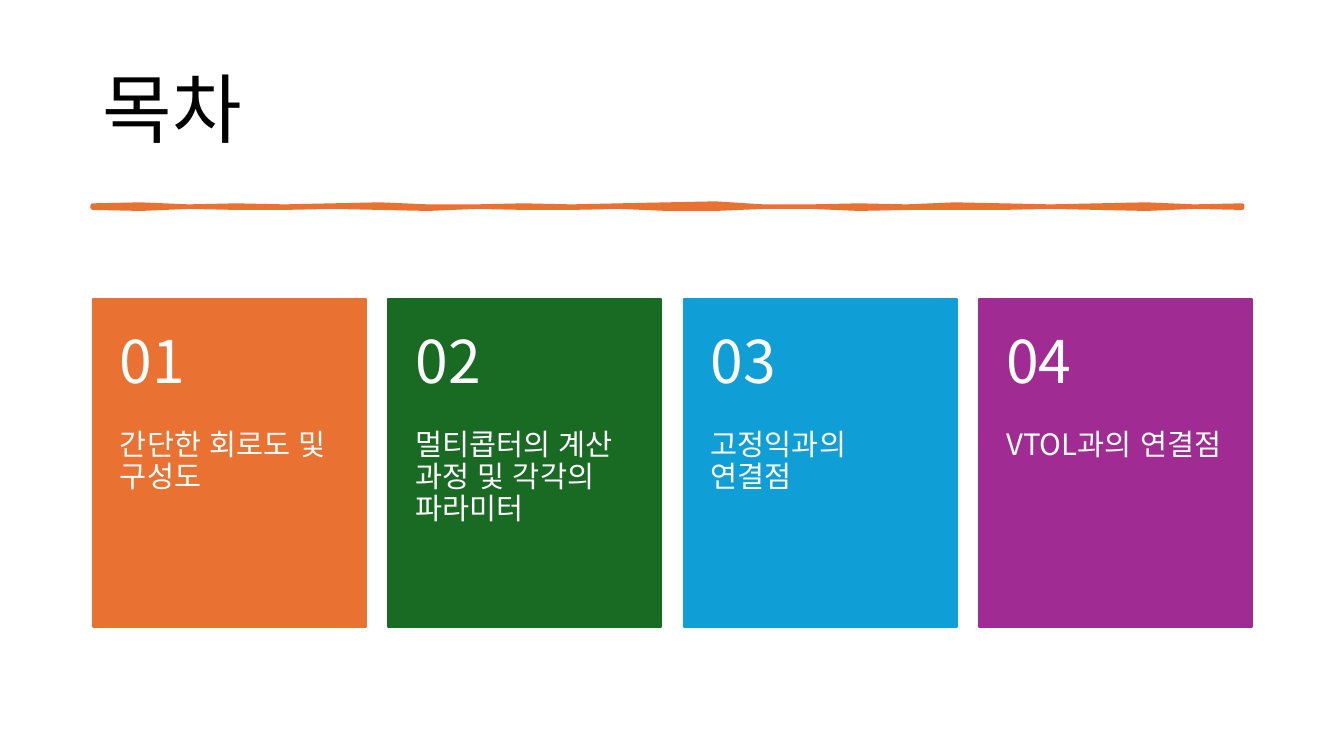
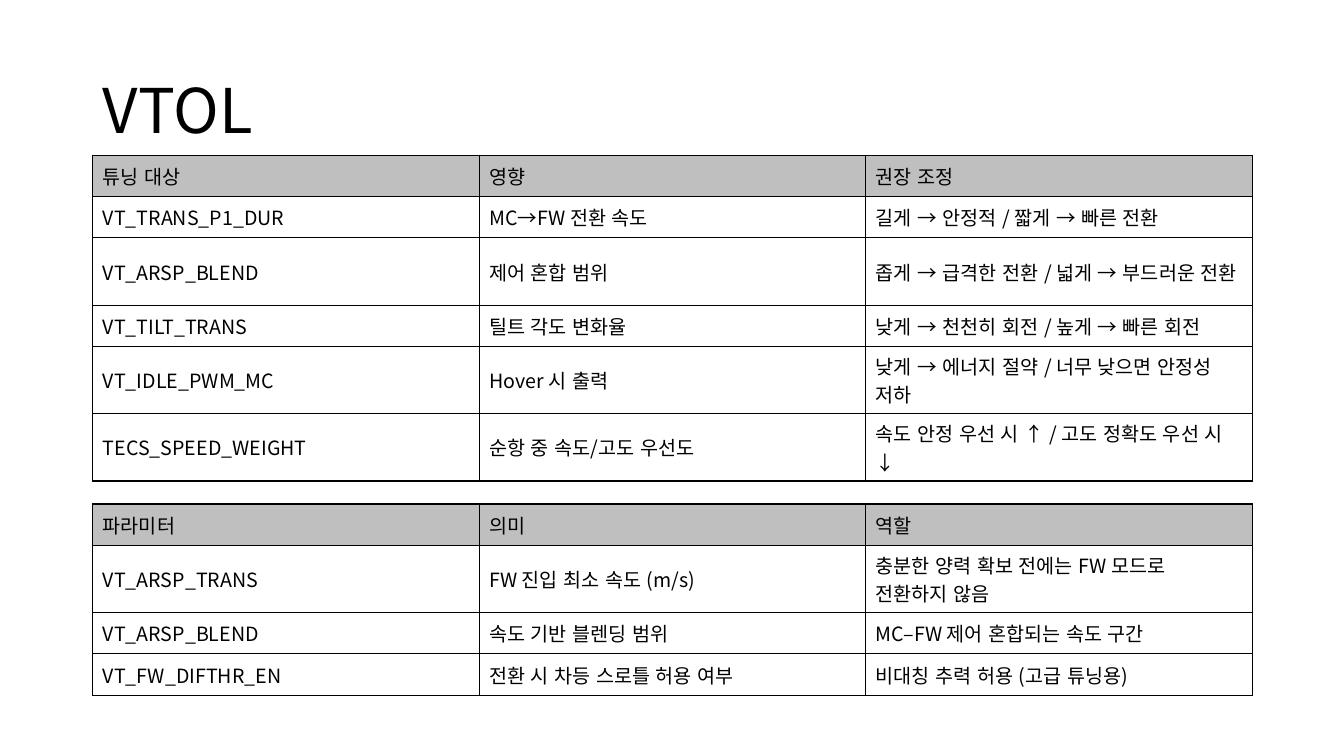
import pptx
import pptx.dml.color
import pptx.enum.lang
import pptx.enum.shapes
import pptx.enum.text
import pptx.oxml
import pptx.oxml.ns
import pptx.util

COLORS = {
    "ink": "000000", "paper": "FFFFFF", "header": "BFBFBF",
    "orange": "E97132", "green": "196B24", "blue": "0F9ED5", "purple": "A02B93",
}
FONT = "Noto Sans CJK KR"
TOP = pptx.enum.text.MSO_ANCHOR.TOP
MIDDLE = pptx.enum.text.MSO_ANCHOR.MIDDLE
RECTANGLE = pptx.enum.shapes.MSO_SHAPE.RECTANGLE
DRAWING_NS = pptx.oxml.ns.nsdecls("a")
inches = pptx.util.Inches

AGENDA = [
    ("간단한 회로도 및 구성도", "orange"),
    ("멀티콥터의 계산 과정 및 각각의 파라미터", "green"),
    ("고정익과의 연결점", "blue"),
    ("VTOL과의 연결점", "purple"),
]
TUNING = [
    ("튜닝 대상", "영향", "권장 조정"),
    ("VT_TRANS_P1_DUR", "MC→FW 전환 속도", "길게 → 안정적 / 짧게 → 빠른 전환"),
    ("VT_ARSP_BLEND", "제어 혼합 범위", "좁게 → 급격한 전환 / 넓게 → 부드러운 전환"),
    ("VT_TILT_TRANS", "틸트 각도 변화율", "낮게 → 천천히 회전 / 높게 → 빠른 회전"),
    ("VT_IDLE_PWM_MC", "Hover 시 출력", "낮게 → 에너지 절약 / 너무 낮으면 안정성 저하"),
    ("TECS_SPEED_WEIGHT", "순항 중 속도/고도 우선도", "속도 안정 우선 시 ↑ / 고도 정확도 우선 시 ↓"),
]
PARAMETERS = [
    ("파라미터", "의미", "역할"),
    ("VT_ARSP_TRANS", "FW 진입 최소 속도 (m/s)", "충분한 양력 확보 전에는 FW 모드로 전환하지 않음"),
    ("VT_ARSP_BLEND", "속도 기반 블렌딩 범위", "MC–FW 제어 혼합되는 속도 구간"),
    ("VT_FW_DIFTHR_EN", "전환 시 차등 스로틀 허용 여부", "비대칭 추력 허용 (고급 튜닝용)"),
]
# Swelling of the brush stroke at equal steps, in hundredths of an inch
STROKE_RISE = [1, 2, 0, 1, 0, 1, 2, 0, 0, 1, 0, 1, 2, 3, 0, 0, 1, 0, 2, 1, 0, 1, 2, 0, 1]
STROKE_DROP = [1, 2, 0, 1, 1, 0, 1, 2, 0, 1, 1, 0, 2, 2, 0, 0, 2, 1, 1, 1, 0, 1, 2, 0, 1]


def rgb(color):
    return pptx.dml.color.RGBColor.from_string(COLORS[color])


class Deck:
    """Style and current slide; four columns across, 75 rows down."""
    WIDTH, HEIGHT = 13.33, 7.5
    MARGIN, GAP, COLUMNS = 0.92, 0.22, 4
    ROW = HEIGHT / 75
    CONTENT = 11.5
    COLUMN = (CONTENT - GAP * (COLUMNS - 1)) / COLUMNS

    def __init__(self):
        self.prs = pptx.Presentation()
        self.prs.slide_width = inches(self.WIDTH)
        self.prs.slide_height = inches(self.HEIGHT)
        self.slide = None

    def area(self, column, row, rows, span=1):
        """Left, top, width and height of a block of the grid."""
        left = self.MARGIN + column * (self.COLUMN + self.GAP)
        width = span * self.COLUMN + (span - 1) * self.GAP
        return [inches(v) for v in (left, row * self.ROW, width, rows * self.ROW)]

    def set_text(self, frame, text, size, color, spacing=0.9):
        frame.text = text
        for paragraph in frame.paragraphs:
            paragraph.alignment = pptx.enum.text.PP_ALIGN.LEFT
            paragraph.line_spacing = spacing
            for run in paragraph.runs:
                run.font.size = pptx.util.Pt(size)
                run.font.name = FONT
                run.font.color.rgb = rgb(color)
                run.font.language_id = pptx.enum.lang.MSO_LANGUAGE_ID.KOREAN
                run._r.get_or_add_rPr().append(pptx.oxml.parse_xml(
                    f'<a:ea {DRAWING_NS} typeface="{FONT}"/>'))

    def paint(self, shape, color, line_width):
        shape.shadow.inherit = False
        shape.fill.solid()
        shape.fill.fore_color.rgb = rgb(color)
        shape.line.color.rgb = rgb(color)
        shape.line.width = pptx.util.Pt(line_width)

    def new_slide(self, title, size):
        self.slide = self.prs.slides.add_slide(self.prs.slide_layouts[5])
        heading = self.slide.shapes.title
        heading.left, heading.top, heading.width, heading.height = self.area(
            0, 4, 14.5, self.COLUMNS)
        frame = heading.text_frame
        frame.auto_size = pptx.enum.text.MSO_AUTO_SIZE.NONE
        frame.vertical_anchor = MIDDLE
        self.set_text(frame, title, size, "ink")

    def brush_stroke(self, row, length, color):
        middle = row * self.ROW
        step = length / (len(STROKE_RISE) - 1)
        upper = [(self.MARGIN + i * step, middle - rise / 100)
                 for i, rise in enumerate(STROKE_RISE)]
        lower = [(self.MARGIN + i * step, middle + drop / 100)
                 for i, drop in enumerate(STROKE_DROP)]
        outline = [(inches(x), inches(y)) for x, y in upper + lower[::-1]]
        builder = self.slide.shapes.build_freeform(*outline[0])
        builder.add_line_segments(outline[1:], close=True)
        self.paint(builder.convert_to_shape(), color, 3.25)

    def text(self, area, text, size, anchor, insets):
        """Text box in white; insets are side, top and bottom in inches."""
        frame = self.slide.shapes.add_textbox(*area).text_frame
        frame.word_wrap = True
        frame.vertical_anchor = anchor
        side, top, bottom = [inches(v) for v in insets]
        frame.margin_left = frame.margin_right = side
        frame.margin_top, frame.margin_bottom = top, bottom
        self.set_text(frame, text, size, "paper")

    def card(self, column, label, color):
        row, number_rows, label_rows = 29.7, 13, 19.5
        panel = self.slide.shapes.add_shape(
            RECTANGLE, *self.area(column, row, number_rows + label_rows))
        self.paint(panel, color, 1.5)
        self.text(self.area(column, row + number_rows, label_rows),
                  label, 21, TOP, (0.27, 0, 0.36))
        self.text(self.area(column, row, number_rows),
                  f"{column + 1:02d}", 42, MIDDLE, (0.27, 0.18, 0.18))

    def table(self, row, records):
        row_height = 4.1
        grid = self.slide.shapes.add_table(
            len(records), len(records[0]),
            *self.area(0, row, row_height * len(records), self.COLUMNS)).table
        grid.first_row = grid.horz_banding = False
        for r, record in enumerate(records):
            grid.rows[r].height = inches(row_height * self.ROW)
            for c, value in enumerate(record):
                cell = grid.cell(r, c)
                cell.vertical_anchor = MIDDLE
                if r == 0:
                    cell.fill.solid()
                    cell.fill.fore_color.rgb = rgb("header")
                else:
                    cell.fill.background()
                self.set_text(cell.text_frame, value, 14, "ink", spacing=1.0)
                self.border(cell)

    def border(self, cell):
        properties = cell._tc.get_or_add_tcPr()
        for position, side in enumerate(("lnL", "lnR", "lnT", "lnB")):
            properties.insert(position, pptx.oxml.parse_xml(
                f'<a:{side} {DRAWING_NS} w="{pptx.util.Pt(1)}"><a:solidFill>'
                f'<a:srgbClr val="{COLORS["ink"]}"/></a:solidFill></a:{side}>'))


def main():
    deck = Deck()

    deck.new_slide("목차", 54)
    deck.brush_stroke(20.5, 11.4, "orange")
    for column, (label, color) in enumerate(AGENDA):
        deck.card(column, label, color)

    deck.new_slide("VTOL", 44)
    deck.table(15.4, TUNING)
    deck.table(50, PARAMETERS)

    deck.prs.save("out.pptx")


if __name__ == "__main__":
    main()
